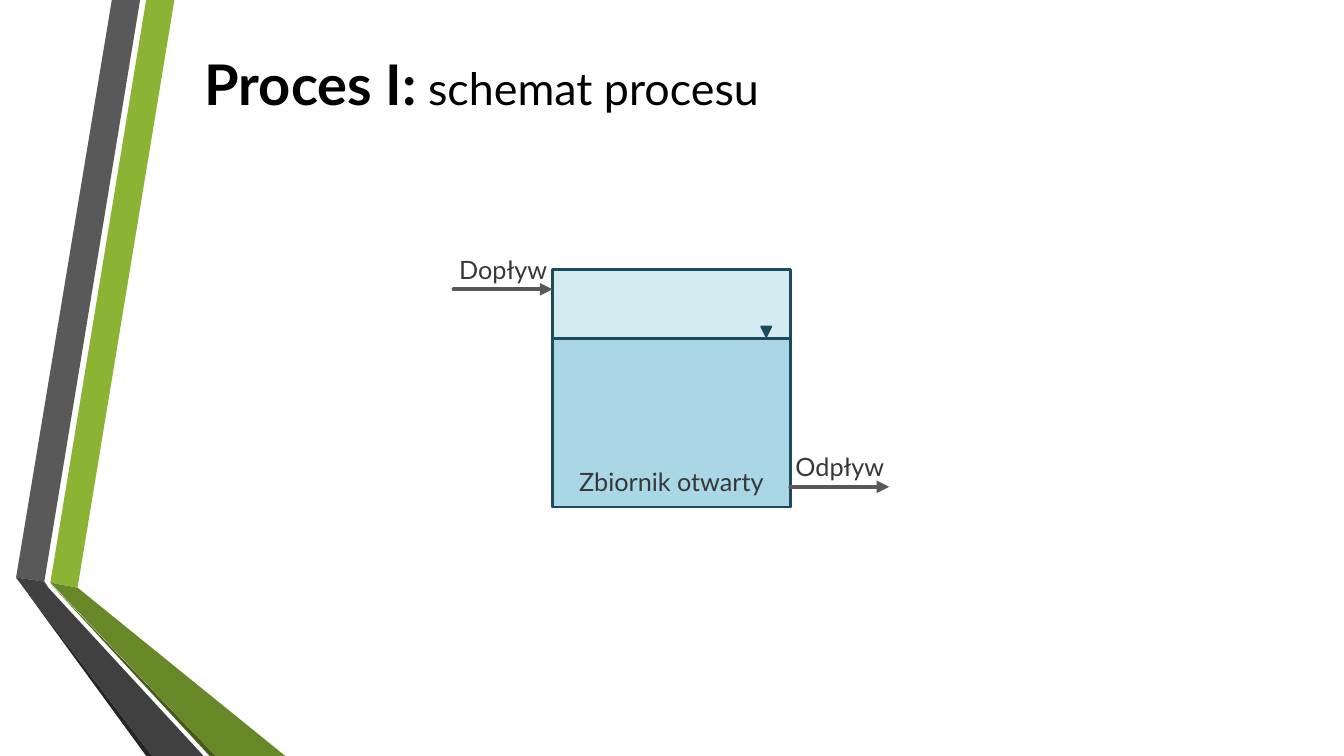
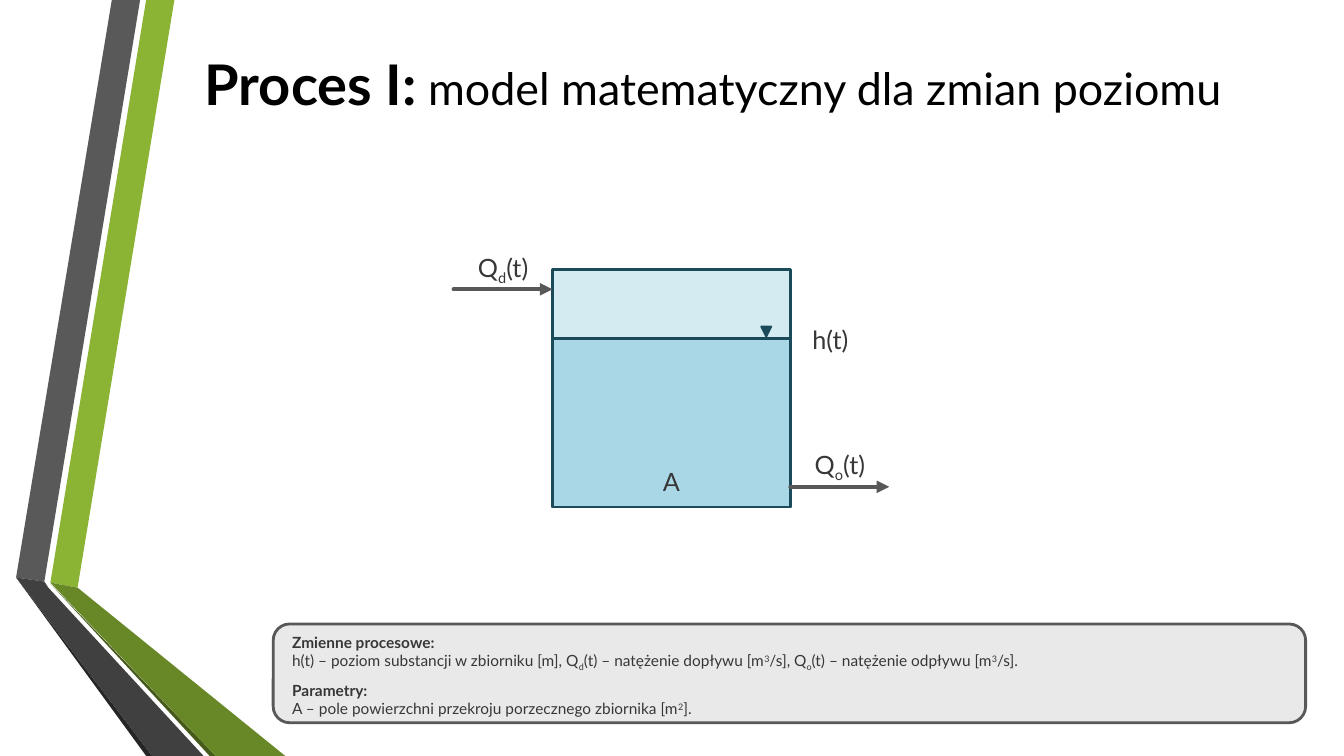
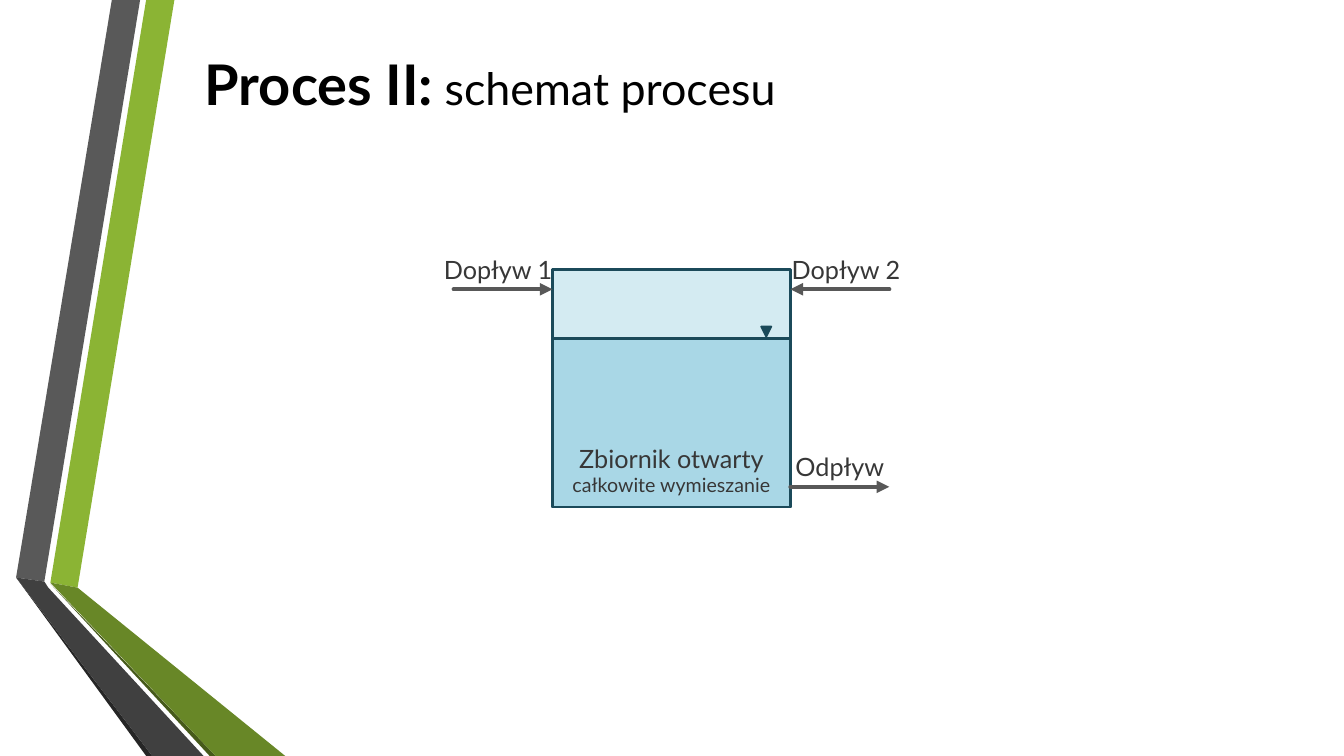
import dataclasses
import typing

import lxml.etree
import pptx
import pptx.dml.color
import pptx.enum.shapes
import pptx.enum.text
import pptx.oxml.ns
import pptx.util

Inches = pptx.util.Inches
Pt = pptx.util.Pt
Shape = pptx.enum.shapes.MSO_SHAPE
Anchor = pptx.enum.text.MSO_ANCHOR
Align = pptx.enum.text.PP_ALIGN
qn = pptx.oxml.ns.qn


@dataclasses.dataclass(frozen=True)
class Theme:
    font: str = "Lato"
    title_color: str = "000000"
    text_color: str = "373737"
    tank_fill: str = "D4EBF2"
    water_fill: str = "A9D7E6"
    tank_line: str = "1B4A5A"
    arrow: str = "585858"
    note_fill: str = "E9E9E9"
    title_size: int = 40
    subtitle_size: int = 32
    label_size: int = 18
    detail_size: int = 14
    note_size: int = 11


class Span(typing.NamedTuple):
    text: str
    baseline: int = 0
    bold: bool = False


def sub(text):
    return Span(text, -25)


def sup(text):
    return Span(text, 30)


THEME = Theme()

BANDS = [
    ("8BB434", [(0.5, 5.78), (0.77, 5.83), (1.73, 0), (1.45, 0)]),
    ("595959", [(1.39, 0), (1.11, 0), (0.16, 5.73), (0.44, 5.77)]),
    ("262626", [(0.16, 5.73), (1.45, 7.5), (1.51, 7.5)]),
    ("465A1A", [(0.5, 5.79), (2.08, 7.5), (2.14, 7.5)]),
    ("688727", [(0.5, 5.78), (2.14, 7.5), (2.83, 7.5), (0.77, 5.83)]),
    ("404040", [(2.02, 7.5), (0.48, 5.83), (0.44, 5.77), (0.16, 5.73), (1.51, 7.5)]),
]

TANK_LEFT, TANK_TOP, TANK_SIZE = 5.48, 2.67, 2.36
TANK_RIGHT = TANK_LEFT + TANK_SIZE
TANK_BOTTOM = TANK_TOP + TANK_SIZE
WATER_TOP = 3.36
INFLOW_Y, OUTFLOW_Y = 2.87, 4.83
FLOW_LENGTH = 0.98
LABEL_HEIGHT = 0.4


class Presenter:
    def __init__(self, theme):
        self.theme = theme
        self.deck = pptx.Presentation()
        self.deck.slide_width = Inches(13.33)
        self.deck.slide_height = Inches(7.5)
        self.layout = self.deck.slide_layouts[5]
        self.page = None
        self.prepare_title()

    def prepare_title(self):
        box = self.layout.placeholders[0]
        box.left, box.top = Inches(1.93), Inches(0.33)
        box.width, box.height = Inches(11.02), Inches(0.98)
        box.text_frame.vertical_anchor = Anchor.MIDDLE
        box.text_frame.auto_size = pptx.enum.text.MSO_AUTO_SIZE.NONE

    def color(self, value):
        return pptx.dml.color.RGBColor.from_string(value)

    def new_page(self, name, topic):
        first = self.page is None
        self.page = self.deck.slides.add_slide(self.layout)
        if first:
            self.share_bands()
        para = self.page.shapes.title.text_frame.paragraphs[0]
        para.alignment = Align.LEFT
        theme = self.theme
        self.add_span(para, Span(name, bold=True), theme.title_size, theme.title_color)
        self.add_span(para, Span(" " + topic), theme.subtitle_size, theme.title_color)

    def share_bands(self):
        for position, (fill, points) in enumerate(BANDS, start=2):
            corners = [(Inches(x), Inches(y)) for x, y in points]
            builder = self.page.shapes.build_freeform(*corners[0], scale=1.0)
            builder.add_line_segments(corners[1:], close=True)
            band = builder.convert_to_shape()
            self.paint(band, fill)
            self.layout.shapes.element.insert(position, band.element)

    def paint(self, shape, fill, line=None, width=2):
        shape.shadow.inherit = False
        shape.fill.solid()
        shape.fill.fore_color.rgb = self.color(fill)
        if line is None:
            shape.line.fill.background()
        else:
            shape.line.color.rgb = self.color(line)
            shape.line.width = Pt(width)

    def add_span(self, para, span, size, color):
        run = para.add_run()
        run.text = span.text
        run.font.name = self.theme.font
        run.font.size = Pt(size)
        run.font.bold = span.bold
        run.font.color.rgb = self.color(color)
        if span.baseline:
            run._r.get_or_add_rPr().set("baseline", str(span.baseline * 1000))

    def fill_text(self, box, lines, anchor, margins, align=Align.CENTER):
        frame = box.text_frame
        frame.word_wrap = True
        frame.vertical_anchor = anchor
        frame.margin_left, frame.margin_top, frame.margin_right, frame.margin_bottom = (
            Inches(margin) for margin in margins)
        for index, (size, spans) in enumerate(lines):
            para = frame.add_paragraph() if index else frame.paragraphs[0]
            para.alignment = align
            for span in spans:
                self.add_span(para, span, size, self.theme.text_color)

    def shape(self, kind, left, top, width, height, fill, line, line_width=2):
        shape = self.page.shapes.add_shape(
            kind, Inches(left), Inches(top), Inches(width), Inches(height))
        self.paint(shape, fill, line, line_width)
        return shape

    def label(self, left, top, width, spans):
        box = self.page.shapes.add_textbox(
            Inches(left), Inches(top), Inches(width), Inches(LABEL_HEIGHT))
        lines = [(self.theme.label_size, spans)]
        self.fill_text(box, lines, Anchor.MIDDLE, (0, 0.05, 0, 0.05))

    def arrow(self, start, end, y):
        arrow = self.page.shapes.add_connector(
            pptx.enum.shapes.MSO_CONNECTOR.STRAIGHT,
            Inches(start), Inches(y), Inches(end), Inches(y))
        arrow.line.color.rgb = self.color(self.theme.arrow)
        arrow.line.width = Pt(3)
        properties = arrow.element.spPr
        outline = properties.find(qn("a:ln"))
        outline.set("cap", "rnd")
        lxml.etree.SubElement(outline, qn("a:round"))
        lxml.etree.SubElement(outline, qn("a:tailEnd"), type="triangle")
        lxml.etree.SubElement(properties, qn("a:effectLst"))

    def left_inflow(self, spans, width=FLOW_LENGTH):
        self.arrow(TANK_LEFT - FLOW_LENGTH, TANK_LEFT, INFLOW_Y)
        self.label(TANK_LEFT - width, INFLOW_Y - LABEL_HEIGHT, width, spans)

    def right_inflow(self, spans, width=FLOW_LENGTH):
        self.arrow(TANK_RIGHT + FLOW_LENGTH, TANK_RIGHT, INFLOW_Y)
        self.label(TANK_RIGHT, INFLOW_Y - LABEL_HEIGHT, width, spans)

    def outflow(self, spans):
        self.arrow(TANK_RIGHT, TANK_RIGHT + FLOW_LENGTH, OUTFLOW_Y)
        self.label(TANK_RIGHT, OUTFLOW_Y - LABEL_HEIGHT, FLOW_LENGTH, spans)

    def tank(self, name, detail=None):
        theme = self.theme
        self.shape(Shape.RECTANGLE, TANK_LEFT, TANK_TOP, TANK_SIZE, TANK_SIZE,
                   theme.tank_fill, theme.tank_line)
        water = self.shape(Shape.RECTANGLE, TANK_LEFT, WATER_TOP, TANK_SIZE,
                           TANK_BOTTOM - WATER_TOP, theme.water_fill, theme.tank_line)
        lines = [(theme.label_size, [Span(name)])]
        if detail:
            lines.append((theme.detail_size, [Span(detail)]))
        self.fill_text(water, lines, Anchor.BOTTOM, (0.1, 0.05, 0.1, 0.1))
        marker = self.shape(Shape.ISOSCELES_TRIANGLE, 7.55, 3.24, 0.1, 0.1,
                            theme.tank_line, theme.tank_line, 1.25)
        marker.rotation = 180

    def note(self, sections):
        theme = self.theme
        box = self.shape(Shape.ROUNDED_RECTANGLE, 2.71, 6.19, 10.24, 0.98,
                         theme.note_fill, theme.arrow)
        lines = []
        for heading, spans in sections:
            lines.append((theme.note_size, [Span(heading, bold=True)]))
            lines.append((theme.note_size, spans))
        self.fill_text(box, lines, Anchor.TOP, (0.14, 0.04, 0.04, 0.04), Align.LEFT)
        for para in box.text_frame.paragraphs[2::2]:
            para.space_before = Pt(6)


def main():
    show = Presenter(THEME)

    show.new_page("Proces I:", "schemat procesu")
    show.tank("Zbiornik otwarty")
    show.left_inflow([Span("Dopływ")])
    show.outflow([Span("Odpływ")])

    show.new_page("Proces I:", "model matematyczny dla zmian poziomu")
    show.tank("A")
    show.left_inflow([Span("Q"), sub("d"), Span("(t)")])
    show.outflow([Span("Q"), sub("o"), Span("(t)")])
    show.label(TANK_RIGHT, 3.17, 0.79, [Span("h(t)")])
    show.note([
        ("Zmienne procesowe:", [
            Span("h(t) – poziom substancji w zbiorniku [m], Q"), sub("d"),
            Span("(t) – natężenie dopływu [m"), sup("3"),
            Span("/s], Q"), sub("o"),
            Span("(t) – natężenie odpływu [m"), sup("3"), Span("/s]."),
        ]),
        ("Parametry:", [
            Span("A – pole powierzchni przekroju porzecznego zbiornika [m"),
            sup("2"), Span("]."),
        ]),
    ])

    show.new_page("Proces II:", "schemat procesu")
    show.tank("Zbiornik otwarty", "całkowite wymieszanie")
    show.left_inflow([Span("Dopływ 1")], 1.08)
    show.right_inflow([Span("Dopływ 2")], 1.1)
    show.outflow([Span("Odpływ")])

    show.deck.save("out.pptx")


if __name__ == "__main__":
    main()
